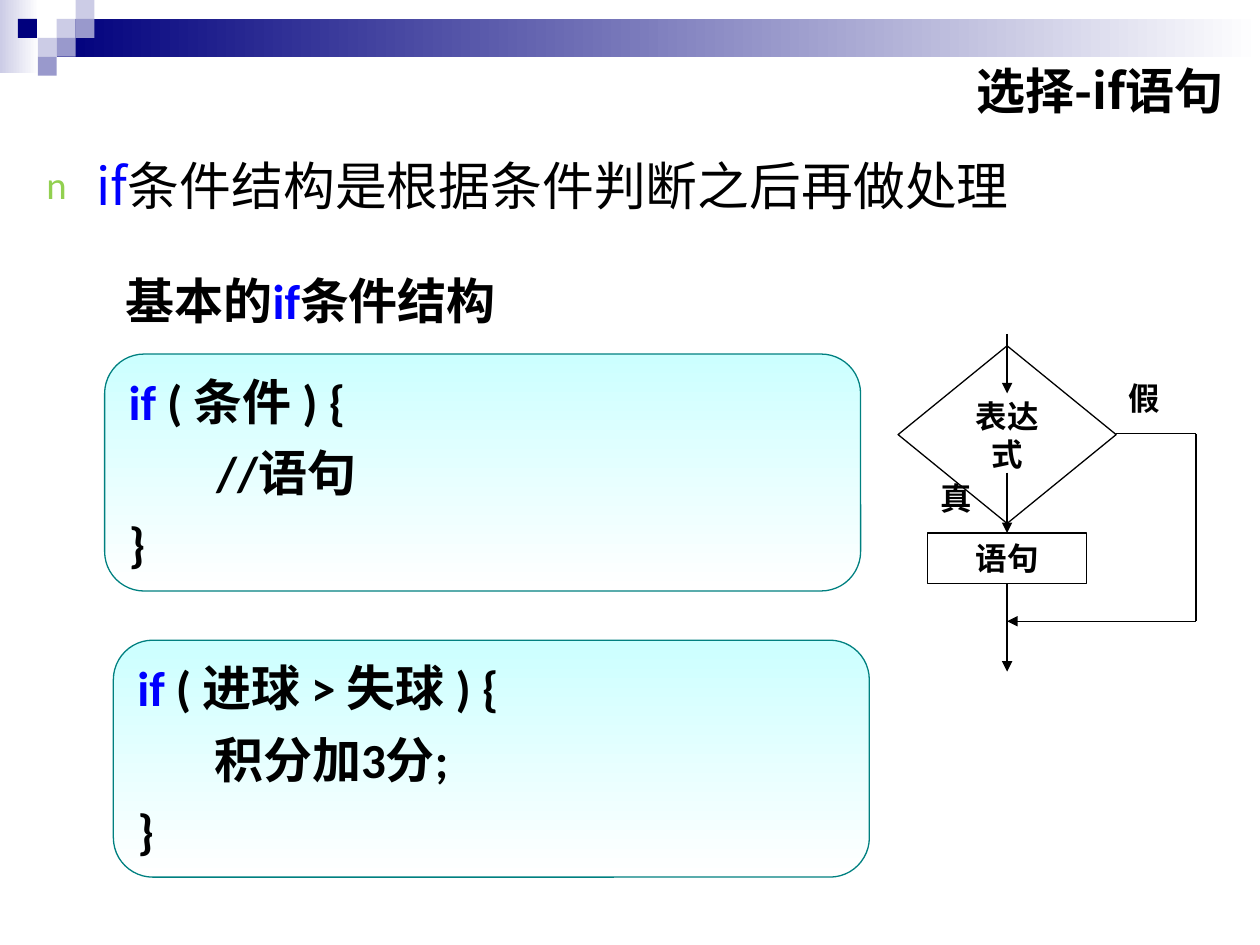
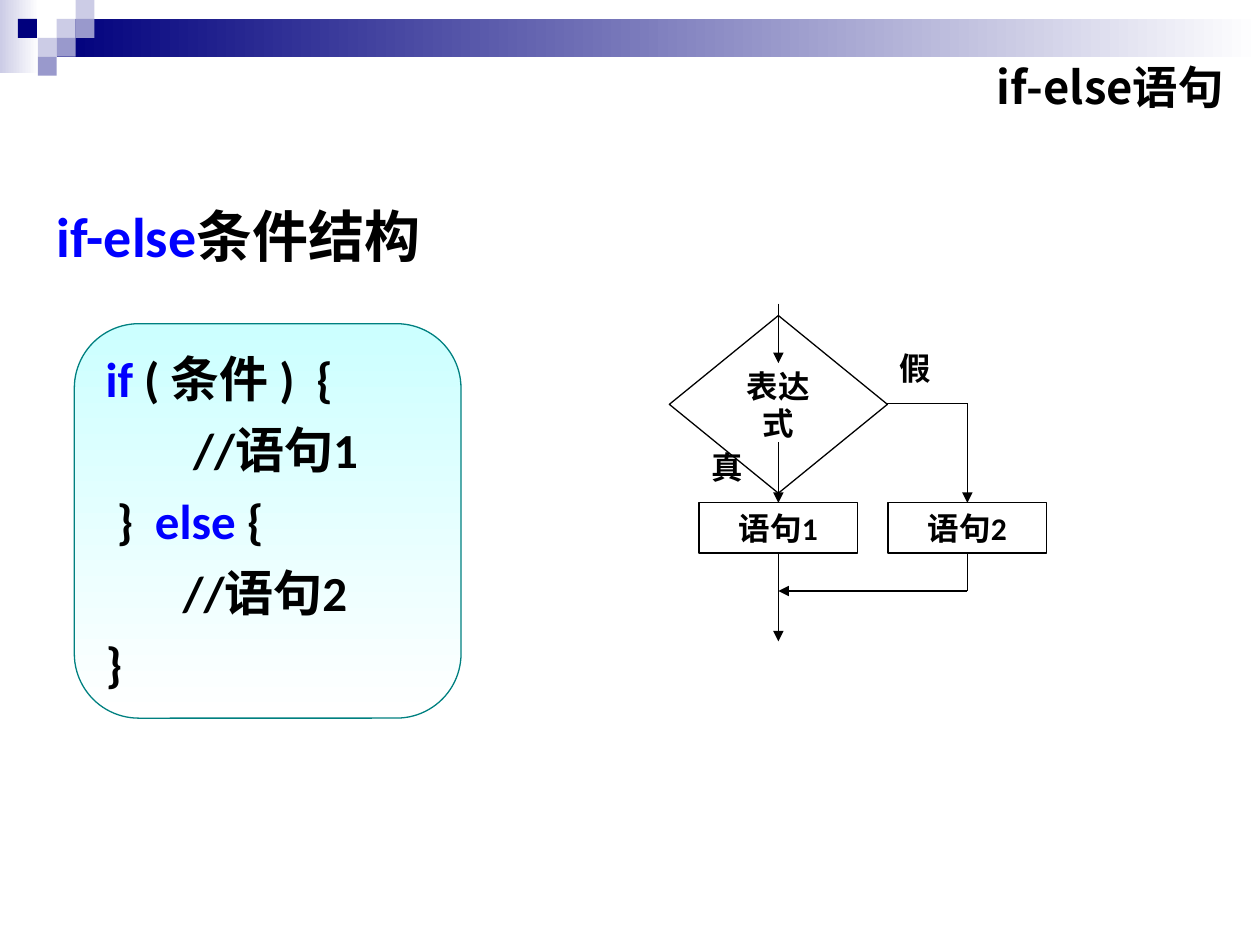
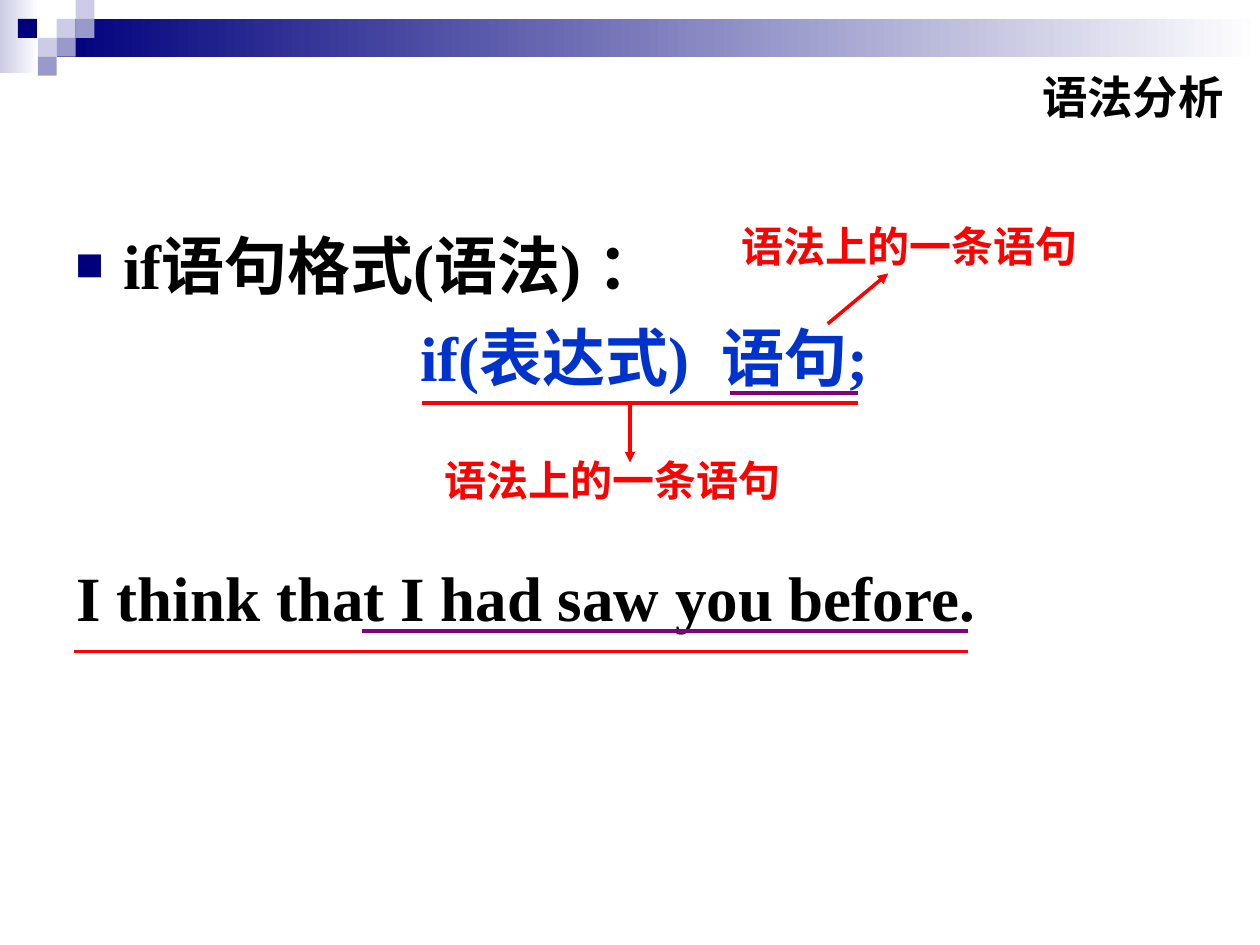
"""Build three slides that explain the if and if-else statements."""
from dataclasses import dataclass

import pptx
import pptx.dml.color
import pptx.enum.shapes
import pptx.enum.text
import pptx.oxml
import pptx.oxml.ns
import pptx.util
from lxml import etree

Pt = pptx.util.Pt
SHAPE = pptx.enum.shapes.MSO_SHAPE
ALIGN = pptx.enum.text.PP_ALIGN
ANCHOR = pptx.enum.text.MSO_ANCHOR
qn = pptx.oxml.ns.qn


@dataclass(frozen=True)
class Theme:
    """Colours, fonts and type sizes of the deck."""
    ink: str = "000000"
    white: str = "FFFFFF"
    keyword: str = "0000FF"
    syntax: str = "0033CC"
    note: str = "FF0000"
    clause: str = "800080"
    navy: str = "00007D"
    lilac: str = "9999CC"
    mist: str = "CCCCE6"
    code_top: str = "CCFFFF"
    code_edge: str = "008080"
    leaf: str = "92D050"
    sans: str = "Calibri"
    cjk: str = "Noto Sans CJK SC"
    serif: str = "Times New Roman"
    title: float = 28
    small_title: float = 25.9
    lead: float = 29.6
    heading: float = 32
    code: float = 28
    flow: float = 18
    remark: float = 24
    sentence: float = 36
    thin: float = 0.75
    thick: float = 2


T = Theme()


def apply(target, formats):
    """Set each attribute of the target from a dict."""
    for attribute, value in formats.items():
        setattr(target, attribute, value)


def rgb(colour):
    """Turn a hex string into a colour."""
    return pptx.dml.color.RGBColor.from_string(colour)


def points(*lengths):
    """Turn numbers into lengths in points."""
    return [Pt(length) for length in lengths]


def line(*runs, indent=0, hanging=0, bullet=None, **formats):
    """Describe one paragraph; a run is (text, colour, extra spacing)."""
    return dict(runs=runs, indent=indent, hanging=hanging, bullet=bullet, formats=formats)


def add_bullet(properties, sign, colour, font):
    """Give paragraph properties a coloured bullet."""
    tint = etree.SubElement(properties, qn("a:buClr"))
    etree.SubElement(tint, qn("a:srgbClr"), val=colour)
    etree.SubElement(properties, qn("a:buSzPct"), val="75000")
    etree.SubElement(properties, qn("a:buFont"), typeface=font)
    etree.SubElement(properties, qn("a:buChar"), char=sign)


def write(frame, lines, size, font=T.sans, bold=True, anchor=ANCHOR.TOP):
    """Fill a text frame with paragraphs."""
    apply(frame, dict(word_wrap=True, vertical_anchor=anchor))
    for number, content in enumerate(lines):
        paragraph = frame.paragraphs[0] if number == 0 else frame.add_paragraph()
        apply(paragraph, {"alignment": ALIGN.LEFT, **content["formats"]})
        properties = paragraph._p.get_or_add_pPr()
        properties.set("marL", str(Pt(content["indent"])))
        properties.set("indent", str(-Pt(content["hanging"])))
        if content["bullet"]:
            add_bullet(properties, *content["bullet"])
        for words, colour, *spacing in content["runs"]:
            run = paragraph.add_run()
            run.text = words
            apply(run.font, dict(size=Pt(size), name=font, bold=bold))
            run.font.color.rgb = rgb(colour)
            character = run._r.get_or_add_rPr()
            etree.SubElement(character, qn("a:ea"), typeface=T.cjk)
            if spacing:
                character.set("spc", str(spacing[0] * 100))


def textbox(slide, box, lines, size, **style):
    """Add a wrapping text box."""
    write(slide.shapes.add_textbox(*points(*box)).text_frame, lines, size, **style)


def panel(slide, kind, box, fill=None, angle=0, edge=None):
    """Add a preset shape with no, plain or gradient fill."""
    shape = slide.shapes.add_shape(kind, *points(*box))
    shape.shadow.inherit = False
    if not fill:
        shape.fill.background()
    elif isinstance(fill, str):
        shape.fill.solid()
        shape.fill.fore_color.rgb = rgb(fill)
    else:
        shape.fill.gradient()
        shape.fill.gradient_angle = angle
        for stop, colour in zip(shape.fill.gradient_stops, fill):
            stop.color.rgb = rgb(colour)
    if edge:
        shape.line.color.rgb = rgb(edge)
        shape.line.width = Pt(T.thin)
    else:
        shape.line.fill.background()
    return shape


def stroke(slide, start, end, colour=T.ink, width=T.thin, arrow=False):
    """Draw a straight line, with an arrowhead at its end if asked."""
    connector = slide.shapes.add_connector(
        pptx.enum.shapes.MSO_CONNECTOR.STRAIGHT, *points(*start, *end))
    connector.line.color.rgb = rgb(colour)
    connector.line.width = Pt(width)
    if arrow:
        etree.SubElement(connector.line._get_or_add_ln(), qn("a:tailEnd"), type="triangle")
    etree.SubElement(connector._element.spPr, qn("a:effectLst"))


def band(slide, width, unit=10.8):
    """Draw the top band and its mosaic on a grid of square units."""
    panel(slide, SHAPE.RECTANGLE, (0, 0, 22.3, 41.8), (T.mist, T.white))
    panel(slide, SHAPE.RECTANGLE, (3 * unit, unit, width - 3 * unit, 2 * unit),
          (T.navy, T.white))
    for column, row, colour in (
            (3, 1, T.mist), (4, 0, T.mist), (4, 1, T.lilac), (2, 2, T.mist),
            (0.95, 1, T.navy), (3, 2, T.lilac), (2, 3, T.lilac)):
        panel(slide, SHAPE.RECTANGLE, (column * unit, row * unit, unit, unit), colour)


def title(slide, words, top=31.7, size=T.small_title, spacing=0.9):
    """Write the slide title at the right."""
    textbox(slide, (337.7, top, 368.6, 39.6),
            [line((words, T.ink), alignment=ALIGN.RIGHT, line_spacing=spacing)],
            size, font=T.cjk, anchor=ANCHOR.MIDDLE)


def code_panel(slide, box, lines):
    """Show code in a rounded panel."""
    shape = panel(slide, SHAPE.ROUNDED_RECTANGLE, box, (T.code_top, T.white), 270, T.code_edge)
    write(shape.text_frame, lines, T.code)


def code(*runs, indent=0):
    """Describe one line of code."""
    return line(*runs, indent=indent, space_before=Pt(7))


def flowchart(slide, left, top, then_text, else_text=None):
    """Draw a decision with a true step and an optional false step."""
    def at(x, y):
        return left + x, top + y

    def node(kind, x, y, width, height, words):
        shape = panel(slide, kind, (*at(x, y), width, height), edge=T.ink)
        write(shape.text_frame, [line((words, T.ink), alignment=ALIGN.CENTER)],
              T.flow, anchor=ANCHOR.MIDDLE)

    middle, branch, decision, step, merge = 62.3, 170.3, 57, 113.8, 164.2
    step_width, step_height = 90.7, 28.8
    step_end = step + step_height
    node(SHAPE.DIAMOND, 0, 6.8, 2 * middle, 101.5, "表达式")
    node(SHAPE.RECTANGLE, middle - step_width / 2, step, step_width, step_height, then_text)
    for start, end in ((0, 34), (79.2, step), (step_end, 193)):
        stroke(slide, at(middle, start), at(middle, end), arrow=True)
    stroke(slide, at(2 * middle, decision), at(branch, decision))
    if else_text:
        node(SHAPE.RECTANGLE, branch - step_width / 2, step, step_width, step_height, else_text)
        stroke(slide, at(branch, decision), at(branch, step), arrow=True)
        stroke(slide, at(branch, step_end), at(branch, merge))
    else:
        stroke(slide, at(branch, decision), at(branch, merge))
    stroke(slide, at(branch, merge), at(middle, merge), arrow=True)
    for words, x, y in (("假", 2 * middle, 22.5), ("真", 17, 79.2)):
        textbox(slide, (*at(x, y), 39.6, step_height),
                [line((words, T.ink), space_before=Pt(11.2))], T.flow)


def if_slide(slide):
    """Explain the basic if statement."""
    title(slide, "选择-if语句", size=T.title, spacing=1.0)
    textbox(slide, (19.4, 88.6, 648, 45.4),
            [line(("if", T.keyword), ("条件结构是根据条件判断之后再做处理", T.ink),
                  indent=28.8, hanging=28.8, bullet=("n", T.leaf, T.sans),
                  alignment=ALIGN.JUSTIFY, line_spacing=0.9, space_before=Pt(8))],
            T.lead, font=T.cjk, bold=False)
    textbox(slide, (64.8, 151.2, 317.5, 41),
            [line(("基本的", T.ink), ("if", T.keyword), ("条件结构", T.ink),
                  alignment=ALIGN.JUSTIFY, space_before=Pt(7))], T.code)
    examples = (
        (59.8, 202.3, " ( 条件 ) {", "//语句", 50),
        (64.8, 365.8, " ( 进球 > 失球 ) {", "积分加3分;", 44))
    for left, top, condition, body, indent in examples:
        code_panel(slide, (left, top, 432, 135.4),
                   [code(("if", T.keyword), (condition, T.ink)),
                    code((body, T.ink), indent=indent),
                    code(("}", T.ink))])
    flowchart(slide, 513.2, 190.8, "语句")


def if_else_slide(slide):
    """Explain the if-else statement."""
    title(slide, "if-else语句")
    textbox(slide, (25.2, 111.6, 647.3, 46),
            [line(("if-else", T.keyword), ("条件结构", T.ink), indent=28.8, hanging=28.8,
                  alignment=ALIGN.JUSTIFY, space_before=Pt(8))], T.heading)
    gap = (" ", T.ink, 6)
    code_panel(slide, (42.5, 185, 221, 225.4),
               [code(("if", T.keyword), (" ( 条件 )", T.ink), gap, ("{", T.ink)),
                code(("//语句1", T.ink), indent=50),
                code(("}", T.ink), gap, ("else", T.keyword), (" {", T.ink), indent=6.3),
                code(("//语句2", T.ink), indent=44),
                code(("}", T.ink))])
    flowchart(slide, 382.5, 173.5, "语句1", "语句2")


def syntax_slide(slide):
    """Compare the if syntax with an English sentence."""
    title(slide, "语法分析", top=37.4)
    hanging = dict(indent=27.4, hanging=27.4, space_before=Pt(9))
    textbox(slide, (36, 126, 664.6, 166.3),
            [line(("if语句格式(语法) ：", T.ink), bullet=("■", T.navy, T.serif), **hanging),
             line(("if(表达式)", T.syntax), (" ", T.syntax, 9), ("语句;", T.syntax),
                  alignment=ALIGN.CENTER, **hanging)],
            T.sentence, font=T.serif)
    for left, top in ((416.9, 122.4), (247, 256.3)):
        textbox(slide, (left, top, 209.5, 36),
                [line(("语法上的一条语句", T.note), space_before=Pt(15))],
                T.remark, font=T.cjk)
    textbox(slide, (36.7, 315.4, 664.6, 85),
            [line(("I think that I had saw you before.", T.ink), **hanging)],
            T.sentence, font=T.serif)
    for left, right, y, colour in (
            (416.9, 490.3, 224.6, T.clause), (241.2, 490.3, 230.4, T.note),
            (206.6, 553, 360.7, T.clause), (42.5, 553, 372.2, T.note)):
        stroke(slide, (left, y), (right, y), colour, T.thick)
    for start, end in (((473, 185), (507.6, 156.2)), ((360, 230.4), (360, 264.2))):
        stroke(slide, start, end, T.note, T.thick, arrow=True)


def main():
    """Build and save the deck."""
    deck = pptx.Presentation()
    apply(deck, dict(slide_width=Pt(720), slide_height=Pt(540)))
    for build in (if_slide, if_else_slide, syntax_slide):
        slide = deck.slides.add_slide(deck.slide_layouts[6])
        band(slide, 720)
        build(slide)
    deck.save("out.pptx")


if __name__ == "__main__":
    main()
